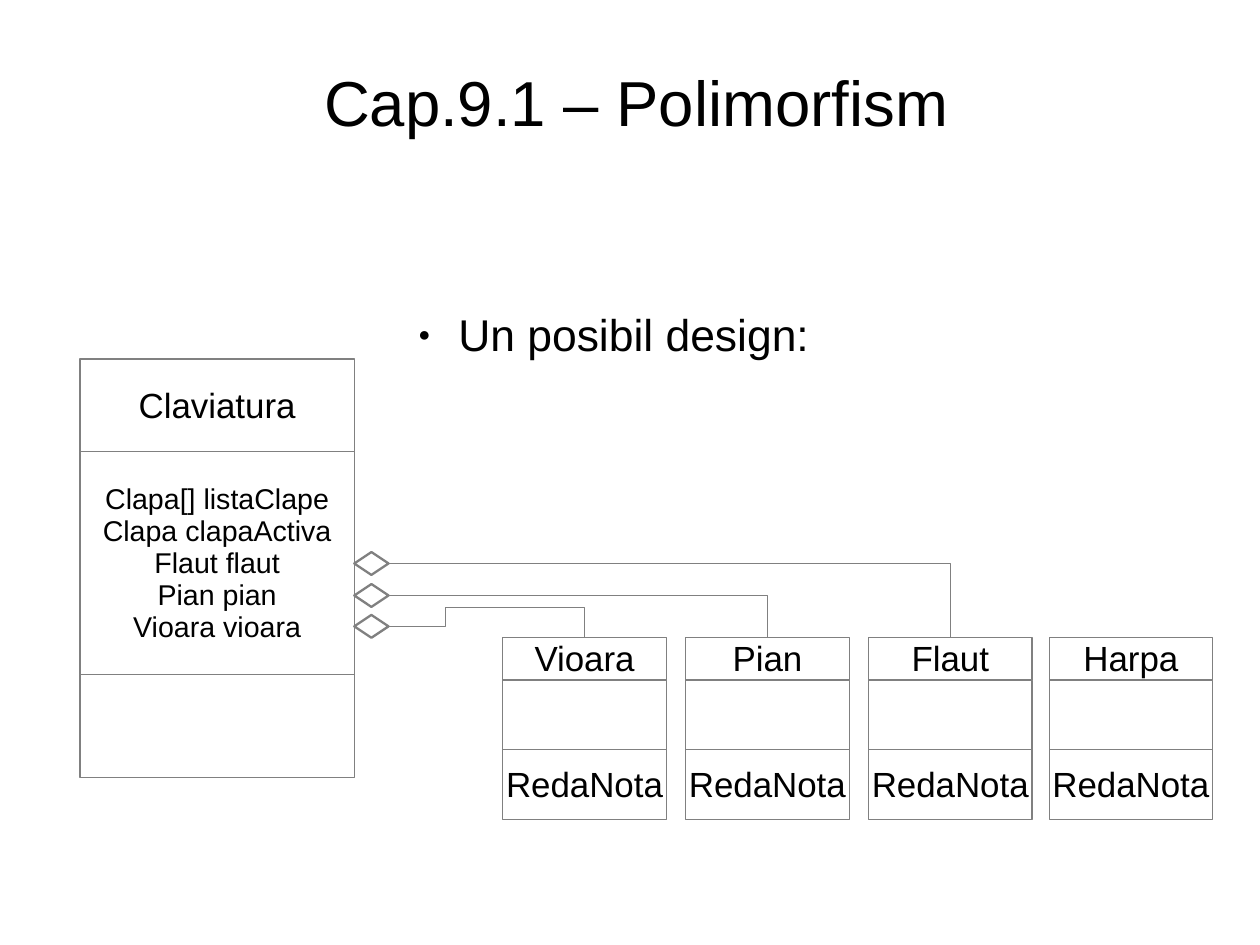
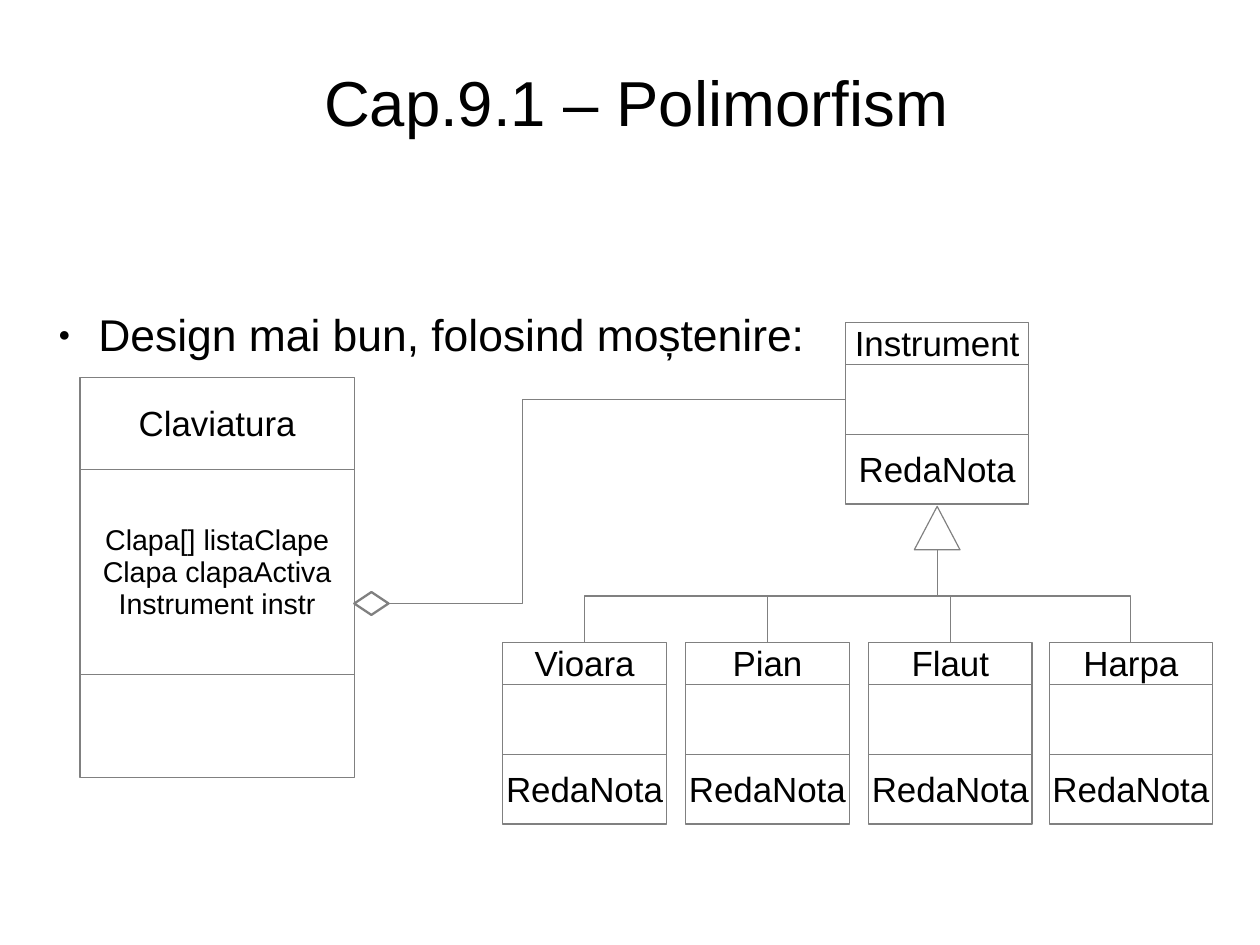
import lxml.etree
import pptx
import pptx.dml.color
import pptx.enum.shapes
import pptx.enum.text
import pptx.oxml
import pptx.oxml.ns
import pptx.util

COLORS = {"ink": "000000", "paper": "FFFFFF", "rule": "808080"}
FONT = "Arial"
TITLE = "Cap.9.1 – Polimorfism"
SHAPES = pptx.enum.shapes.MSO_SHAPE
ANCHOR = pptx.enum.text.MSO_ANCHOR.MIDDLE
CENTER = pptx.enum.text.PP_ALIGN.CENTER
CELL = pptx.util.Inches(0.1)
KEYBOARD_COLUMN, KEYBOARD_WIDTH, KEYBOARD_FOOT = 7, 24, 59
CHILD_WIDTH = 14.3
CHILD_COLUMNS = {"Vioara": 44, "Pian": 60, "Flaut": 76, "Harpa": 91.8}

designs = [
    {
        "bullet": "Un posibil design:", "bullet_column": 35.4, "bullet_width": 38.1,
        "keyboard_row": 31.4, "child_row": 55.8, "diamond_rows": [53.8, 51.1, 48.3],
        "fields": ["Clapa[] listaClape", "Clapa clapaActiva", "Flaut flaut", "Pian pian", "Vioara vioara"],
    },
    {
        "bullet": "Design mai bun, folosind moștenire:", "bullet_column": 3.9, "bullet_width": 103.1,
        "keyboard_row": 33, "child_row": 56.2, "diamond_rows": [51.8],
        "fields": ["Clapa[] listaClape", "Clapa clapaActiva", "Instrument instr"],
    },
]


def add_block(page, kind, column, row, width, height, text="", size=22, weight=0.75):
    block = page.shapes.add_shape(kind, *[round(n * CELL) for n in (column, row, width, height)])
    block.shadow.inherit = False
    block.fill.solid()
    block.fill.fore_color.rgb = pptx.dml.color.RGBColor.from_string(COLORS["paper"])
    block.line.color.rgb = pptx.dml.color.RGBColor.from_string(COLORS["rule"])
    block.line.width = pptx.util.Pt(weight)
    if text:
        frame = block.text_frame
        frame.text = text
        frame.word_wrap = False
        frame.vertical_anchor = ANCHOR
        frame.margin_top, frame.margin_bottom = pptx.util.Inches(0.07), pptx.util.Inches(0.05)
        for para in frame.paragraphs:
            para.alignment = CENTER
            para.line_spacing = 0.93
            for span in para.runs:
                span.font.name = FONT
                span.font.size = pptx.util.Pt(size)
                span.font.color.rgb = pptx.dml.color.RGBColor.from_string(COLORS["ink"])
    return block


def add_elbow(page, begin, begin_site, end, end_site, preset, adjustments=(), turn=0):
    link = page.shapes.add_connector(pptx.enum.shapes.MSO_CONNECTOR.ELBOW, 0, 0, 0, 0)
    link.begin_connect(begin, begin_site)
    link.end_connect(end, end_site)
    link.line.color.rgb = pptx.dml.color.RGBColor.from_string(COLORS["rule"])
    link.line.width = pptx.util.Pt(0.75)
    properties = link.element.spPr
    if turn:
        width, height = link.height, link.width
        link.left += (height - width) // 2
        link.top += (width - height) // 2
        link.width, link.height = width, height
        frame = properties.find(pptx.oxml.ns.qn("a:xfrm"))
        frame.set("rot", str(turn * 60000))
        frame.set("flipH", "0")
        frame.set("flipV", "1" if turn == 270 else "0")
    geometry = properties.find(pptx.oxml.ns.qn("a:prstGeom"))
    geometry.set("prst", preset)
    guides = geometry.find(pptx.oxml.ns.qn("a:avLst"))
    for number, value in enumerate(adjustments, 1):
        lxml.etree.SubElement(guides, pptx.oxml.ns.qn("a:gd"), name=f"adj{number}", fmla=f"val {value}")
    lxml.etree.SubElement(properties, pptx.oxml.ns.qn("a:effectLst"))
    return link


deck = pptx.Presentation()
deck.slide_width = pptx.util.Emu(10080625)
deck.slide_height = pptx.util.Emu(7559675)

for design in designs:
    page = deck.slides.add_slide(deck.slide_layouts[1])
    title, body = page.shapes.title, page.placeholders[1]
    bullet_area = (design["bullet_column"], 27, design["bullet_width"], 5)
    for box, text, size, area, inset in [
        (title, TITLE, 40, (3.6, 2.8, 104.1, 12.4), 0.04),
        (body, design["bullet"], 28, bullet_area, 0.03),
    ]:
        box.left, box.top, box.width, box.height = [round(n * CELL) for n in area]
        frame = box.text_frame
        frame.text = text
        frame.word_wrap = True
        frame.auto_size = pptx.enum.text.MSO_AUTO_SIZE.NONE
        frame.margin_left = frame.margin_right = frame.margin_bottom = 0
        frame.margin_top = pptx.util.Inches(inset)
        para = frame.paragraphs[0]
        para.line_spacing = 0.93
        para.space_before = pptx.util.Pt(0)
        if box is body:
            para.space_after = pptx.util.Pt(14.1)
            settings = para._p.get_or_add_pPr()
            settings.set("marL", str(pptx.util.Inches(0.47)))
            settings.set("indent", str(pptx.util.Inches(-0.35)))
            bullet_color = lxml.etree.SubElement(settings, pptx.oxml.ns.qn("a:buClr"))
            lxml.etree.SubElement(bullet_color, pptx.oxml.ns.qn("a:srgbClr"), val=COLORS["ink"])
            lxml.etree.SubElement(settings, pptx.oxml.ns.qn("a:buSzPct"), val="45000")
            lxml.etree.SubElement(settings, pptx.oxml.ns.qn("a:buFont"), typeface=FONT)
            lxml.etree.SubElement(settings, pptx.oxml.ns.qn("a:buChar"), char="●")
        else:
            para.alignment = CENTER
            frame.vertical_anchor = ANCHOR
        span = para.runs[0]
        span.font.name = FONT
        span.font.size = pptx.util.Pt(size)
        span.font.color.rgb = pptx.dml.color.RGBColor.from_string(COLORS["ink"])

    small_classes = [
        (name, column, design["child_row"], CHILD_WIDTH) for name, column in CHILD_COLUMNS.items()
    ]
    inherits = len(design["diamond_rows"]) == 1
    if inherits:
        small_classes.append(("Instrument", 74, 28.2, 16))
    heads, middles = [], []
    for name, column, row, width in small_classes:
        heads.append(add_block(page, SHAPES.RECTANGLE, column, row, width, 3.7, name))
        middles.append(add_block(page, SHAPES.RECTANGLE, column, row + 3.7, width, 6.1))
        add_block(page, SHAPES.RECTANGLE, column, row + 9.8, width, 6.1, "RedaNota")

    row = design["keyboard_row"]
    fields_row = row + 8.1
    for text, top, height, size in [
        ("Claviatura", row, 8.1, 22),
        ("\n".join(design["fields"]), fields_row, KEYBOARD_FOOT - fields_row, 18),
        ("", KEYBOARD_FOOT, 9, 22),
    ]:
        add_block(page, SHAPES.RECTANGLE, KEYBOARD_COLUMN, top, KEYBOARD_WIDTH, height, text, size)

    diamonds = [
        add_block(page, SHAPES.DIAMOND, KEYBOARD_COLUMN + KEYBOARD_WIDTH, top, 3, 2, weight=1.45)
        for top in design["diamond_rows"]
    ]
    if inherits:
        add_elbow(page, diamonds[0], 3, middles[-1], 1, "bentConnector3", [29300])
        triangle = add_block(page, SHAPES.ISOSCELES_TRIANGLE, 80, 44.3, 4, 3.8)
        for head in heads[:-1]:
            if head.left + head.width // 2 < triangle.left + triangle.width // 2:
                link = add_elbow(page, triangle, 2, head, 0, "bentConnector3", [50000], 90)
            else:
                link = add_elbow(page, head, 0, triangle, 2, "bentConnector3", [50000], 270)
            for joint in link.element.iter(pptx.oxml.ns.qn("a:stCxn"), pptx.oxml.ns.qn("a:endCxn")):
                if joint.get("id") == str(triangle.shape_id):
                    joint.set("idx", "3")
    else:
        routes = [("bentConnector4", [29200, -163300]), ("bentConnector2", []), ("bentConnector2", [])]
        for diamond, head, (preset, adjustments) in zip(diamonds, heads, routes):
            add_elbow(page, diamond, 3, head, 0, preset, adjustments)

deck.save("out.pptx")
